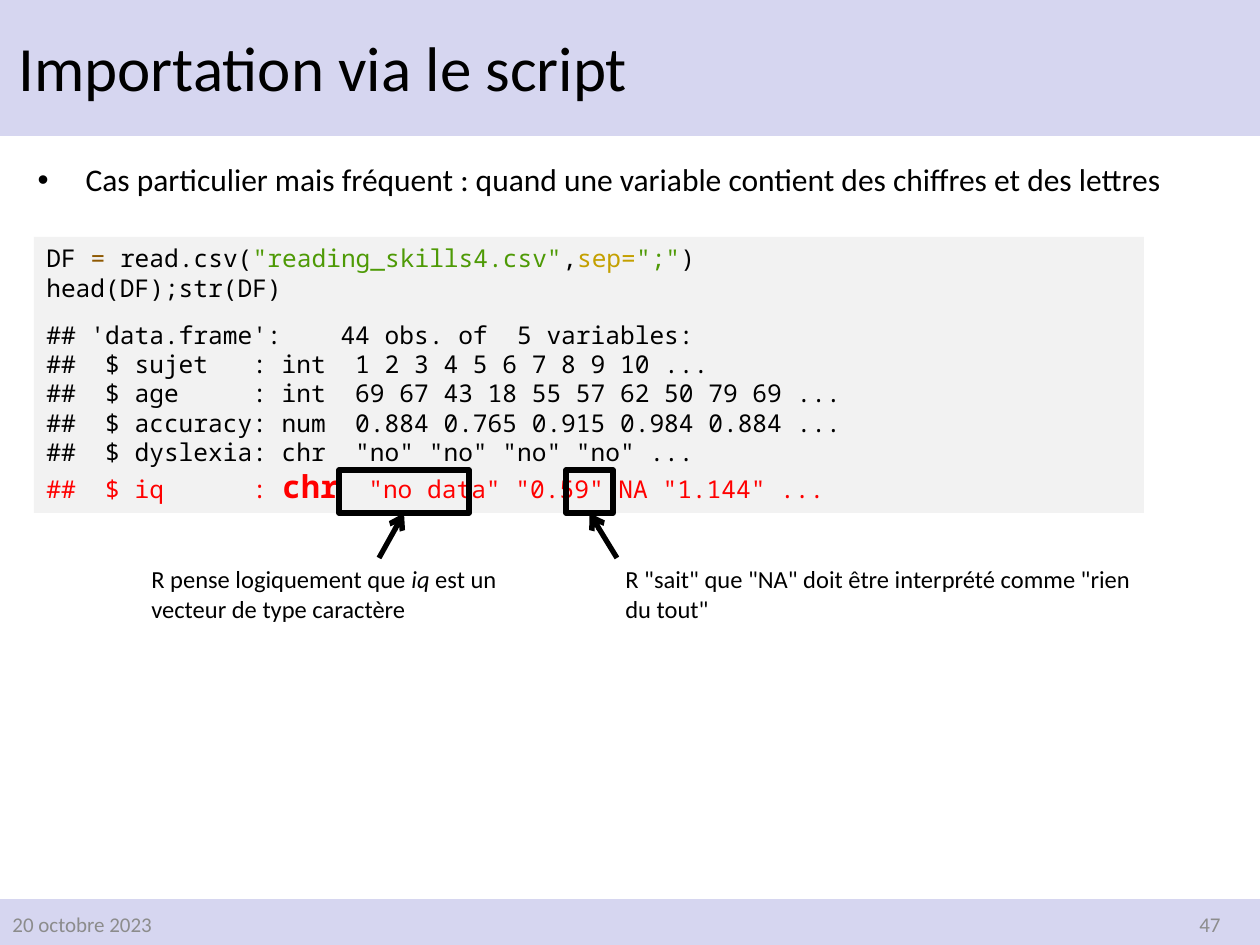
from lxml import etree
from pptx import Presentation
from pptx.dml.color import RGBColor
from pptx.enum.shapes import MSO_CONNECTOR, MSO_SHAPE
from pptx.enum.text import MSO_ANCHOR, MSO_AUTO_SIZE, PP_ALIGN
from pptx.oxml.ns import qn
from pptx.util import Emu, Pt

PX = 914400 / 126
WIDTH, HEIGHT = 1260, 945
SANS, MONO = "Calibri", "Noto Sans Mono"
LEFT, RIGHT = PP_ALIGN.LEFT, PP_ALIGN.RIGHT
TOP, MIDDLE = MSO_ANCHOR.TOP, MSO_ANCHOR.MIDDLE
NO_AUTOFIT = MSO_AUTO_SIZE.NONE
RECTANGLE, STRAIGHT = MSO_SHAPE.RECTANGLE, MSO_CONNECTOR.STRAIGHT
BOTTOM_SIDE = 2
COLORS = {
    "band": "D6D6F0", "code": "F2F2F2", "black": "000000", "footer": "8C8C8C",
    "operator": "8F5902", "string": "4E9A06", "argument": "C4A000", "alert": "FF0000",
}

CALL = [
    ("DF ", {}),
    ("= ", {"color": "operator"}),
    ("read.csv(", {}),
    ('"reading_skills4.csv"', {"color": "string"}),
    (",", {}),
    ("sep=", {"color": "argument"}),
    ('";"', {"color": "string"}),
    (")\nhead(DF);str(DF)", {}),
]
OUTPUT = [
    ("""## 'data.frame':    44 obs. of  5 variables:
##  $ sujet   : int  1 2 3 4 5 6 7 8 9 10 ...
##  $ age     : int  69 67 43 18 55 57 62 50 79 69 ...
##  $ accuracy: num  0.884 0.765 0.915 0.984 0.884 ...
##  $ dyslexia: chr  "no" "no" "no" "no" ...
""", {}),
    ("##  $ iq      : ", {"color": "alert"}),
    ("chr", {"color": "alert", "size": 18, "bold": True}),
    ('  "no data" "0.59" NA "1.144" ...', {"color": "alert"}),
]


def px(length):
    return Emu(round(length * PX))


def rgb(name):
    return RGBColor.from_string(COLORS[name])


def place(shape, box):
    shape.left, shape.top, shape.width, shape.height = map(px, box)


def add_span(para, text, font=SANS, size=14, color="black", bold=False, italic=False):
    for number, line in enumerate(text.split("\n")):
        if number:
            para.add_line_break()
        if line:
            span = para.add_run()
            span.text = line
            span.font.name, span.font.size = font, Pt(size)
            span.font.bold, span.font.italic = bold, italic
            span.font.color.rgb = rgb(color)


def write(shape, *paragraphs, align=LEFT, anchor=TOP, after=0, spacing=1.0, **style):
    """Fill a shape with paragraphs, each a string or a list of (text, format) spans."""
    frame = shape.text_frame
    frame.word_wrap = True
    frame.auto_size = NO_AUTOFIT
    frame.vertical_anchor = anchor
    for number, spans in enumerate(paragraphs):
        para = frame.add_paragraph() if number else frame.paragraphs[0]
        para.alignment, para.line_spacing = align, spacing
        para.space_before, para.space_after = Pt(0), Pt(after)
        for text, changes in [(spans, {})] if isinstance(spans, str) else spans:
            add_span(para, text, **{**style, **changes})


def add_text(page, box, *paragraphs, **style):
    shape = page.shapes.add_textbox(*map(px, box))
    write(shape, *paragraphs, **style)


def add_rectangle(page, box, fill=None, line=None):
    shape = page.shapes.add_shape(RECTANGLE, *map(px, box))
    shape.shadow.inherit = False
    if fill:
        shape.fill.solid()
        shape.fill.fore_color.rgb = rgb(fill)
    else:
        shape.fill.background()
    if line:
        shape.line.color.rgb = rgb(line)
        shape.line.width = Pt(3)
    else:
        shape.line.fill.background()
    return shape


def add_header(page, box, title):
    left, top, width, height = box
    band = add_rectangle(page, box, fill="band")
    page.shapes._spTree.insert(2, band._element)  # behind the title
    place(page.shapes.title, (left + 6, top + 9, width - 336, height - 11))
    write(page.shapes.title, title, anchor=MIDDLE, spacing=0.9, size=36)


def add_bullet(page, box, text):
    body = page.placeholders[1]
    place(body, box)
    write(body, text, size=18)
    properties = body.text_frame.paragraphs[0]._p.get_or_add_pPr()
    properties.set("marL", str(px(48)))
    properties.set("indent", str(px(-48)))
    etree.SubElement(properties, qn("a:buFont")).set("typeface", "Arial")
    etree.SubElement(properties, qn("a:buChar")).set("char", "•")


def add_code(page, box):
    write(add_rectangle(page, box, fill="code"), CALL, OUTPUT, after=10, font=MONO)


def add_callout(page, frame_box, tail, caption_box, caption):
    """Frame a piece of code and point at it from a caption."""
    frame = add_rectangle(page, frame_box, line="black")
    arrow = page.shapes.add_connector(STRAIGHT, px(tail[0]), px(tail[1]), 0, 0)
    arrow.end_connect(frame, BOTTOM_SIDE)
    arrow.line.color.rgb = rgb("black")
    arrow.line.width = Pt(3)
    etree.SubElement(arrow.line._get_or_add_ln(), qn("a:tailEnd")).set("type", "arrow")
    etree.SubElement(arrow._element.spPr, qn("a:effectLst"))
    add_text(page, caption_box, caption)


def add_footer(page, box, date, number):
    left, top, width, height = box
    add_rectangle(page, box, fill="band")
    style = {"anchor": MIDDLE, "size": 12, "color": "footer"}
    add_text(page, (left, top, 284, 50), date, **style)
    add_text(page, (left + width - 311, top, 284, 50), number, align=RIGHT, **style)


def main():
    deck = Presentation()
    deck.slide_width, deck.slide_height = px(WIDTH), px(HEIGHT)
    page = deck.slides.add_slide(deck.slide_layouts[1])
    add_header(page, (0, 0, WIDTH, 136), "Importation via le script")
    add_bullet(page, (25, 154, 1184, 51),
               "Cas particulier mais fréquent : quand une variable contient "
               "des chiffres et des lettres")
    add_code(page, (34, 237, 1110, 276))
    add_callout(page, (339, 470, 130, 43), (379, 558), (139, 558, 401, 72),
                [("R pense logiquement que ", {}), ("iq", {"italic": True}),
                 (" est un vecteur de type caractère", {})])
    add_callout(page, (566, 470, 47, 43), (617, 558), (613, 558, 557, 72),
                'R "sait" que "NA" doit être interprété comme "rien du tout"')
    add_footer(page, (0, 899, WIDTH, 46), "20 octobre 2023", "47")
    deck.save("out.pptx")


if __name__ == "__main__":
    main()
